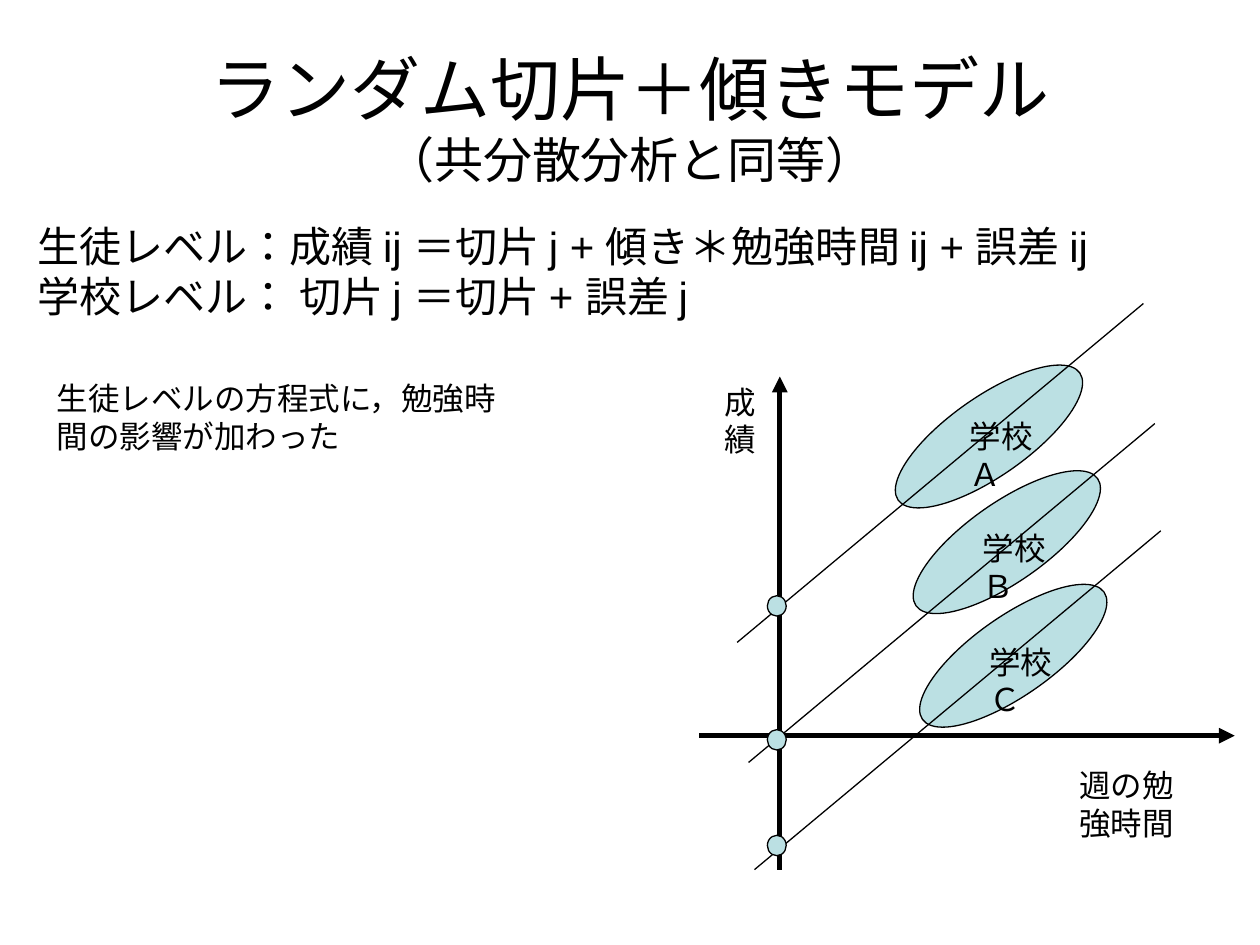
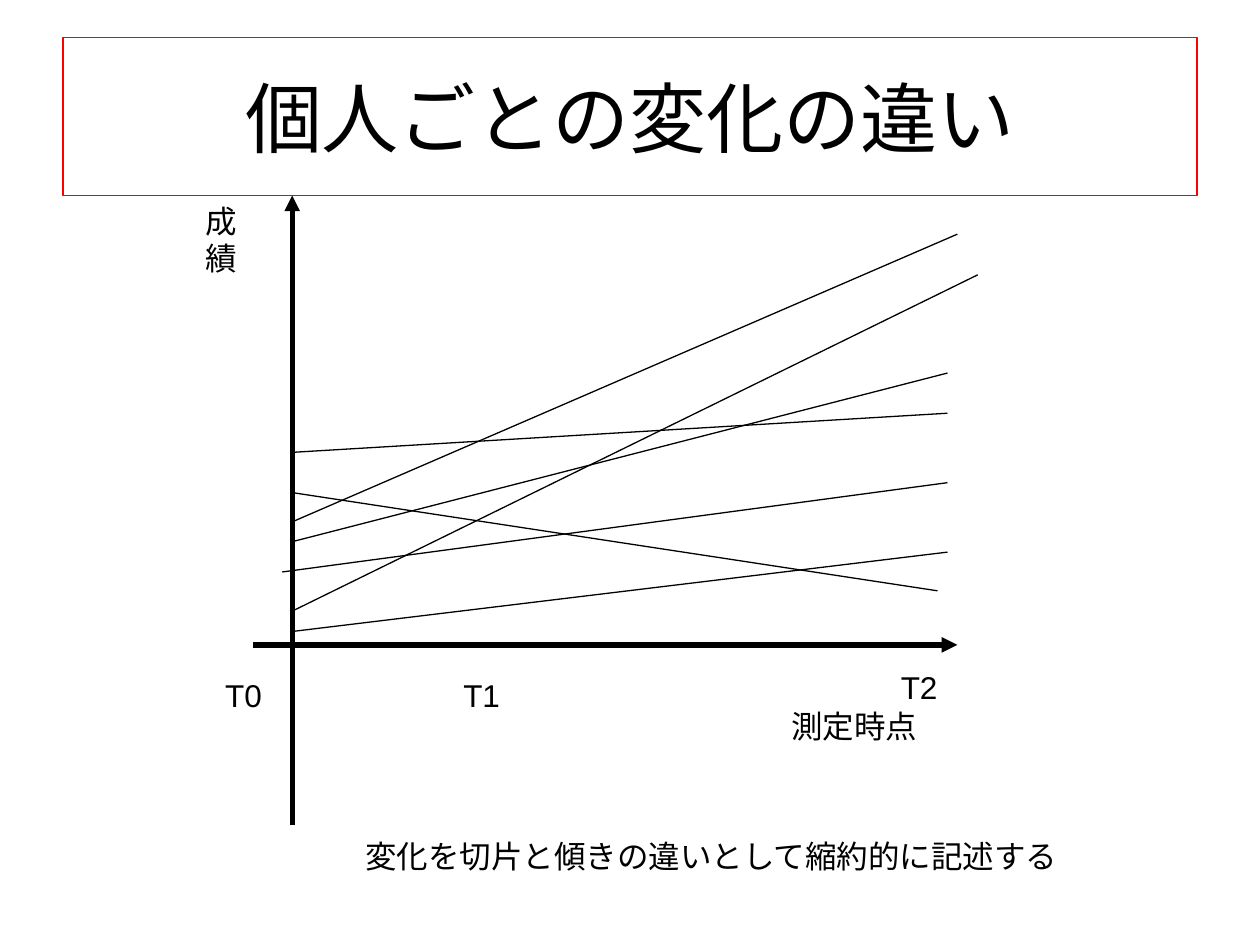
from dataclasses import dataclass

from lxml import etree
from pptx import Presentation
from pptx.dml.color import RGBColor
from pptx.enum.lang import MSO_LANGUAGE_ID
from pptx.enum.shapes import MSO_CONNECTOR, MSO_SHAPE
from pptx.enum.text import MSO_ANCHOR, PP_ALIGN
from pptx.oxml.ns import qn
from pptx.util import Cm, Pt

JAPANESE = MSO_LANGUAGE_ID.JAPANESE
STRAIGHT = MSO_CONNECTOR.STRAIGHT
ELLIPSE = MSO_SHAPE.OVAL
MIDDLE, TOP = MSO_ANCHOR.MIDDLE, MSO_ANCHOR.TOP
CENTER, LEFT = PP_ALIGN.CENTER, PP_ALIGN.LEFT


@dataclass(frozen=True)
class Theme:
    font: str = "Arial"
    ink: RGBColor = RGBColor(0x00, 0x00, 0x00)
    school: RGBColor = RGBColor(0xBB, 0xE0, 0xE3)
    frame: RGBColor = RGBColor(0xFF, 0x00, 0x00)
    title: int = 44
    long_title: int = 40
    subtitle: int = 28
    equation: int = 24
    label: int = 18
    axis: float = 3
    thin: float = 0.75


THEME = Theme()
TITLE_AREA = (1.27, 0.76, 22.86, 3.18)
CLUSTER_SIZE = (4.47, 1.6)
CLUSTER_TILT = 145
SCHOOL_LABEL_SIZE = (1.98, 1.78)
INTERCEPT_X = 15.47
INTERCEPT_SIZE = (0.38, 0.41)
TREND_RUN, TREND_RISE = 8.19, 6.83

# name, cluster corner, label corner, trend start, top of intercept dot
SCHOOLS = [
    ("学校Ａ", (17.7, 8.0), (19.3, 8.28), (14.86, 12.95), 12.01),
    ("学校Ｂ", (18.06, 10.13), (19.56, 10.54), (15.09, 15.37), 14.71),
    ("学校Ｃ", (18.19, 12.42), (19.69, 12.83), (15.21, 17.53), 16.84),
]

ORIGIN_X = 5.89
# start and end of each person's line of change
PERSONS = [
    ((ORIGIN_X, 12.32), (19.71, 5.54)),
    ((ORIGIN_X, 10.92), (19.1, 7.52)),
    ((ORIGIN_X, 9.93), (18.9, 11.91)),
    ((5.69, 11.53), (19.1, 9.73)),
    ((ORIGIN_X, 9.12), (19.1, 8.33)),
    ((ORIGIN_X, 12.73), (19.1, 11.13)),
    ((ORIGIN_X, 10.52), (19.3, 4.72)),
]
TIME_POINTS = [("T0", 4.29, 13.51), ("T1", 9.09, 13.51), ("T2", 17.91, 13.34)]


def lengths(values):
    return [Cm(value) for value in values]


def apply_format(target, values):
    for name, value in values.items():
        setattr(target, name, value)


def add_run(paragraph, wording, size):
    run = paragraph.add_run()
    run.text = wording
    apply_format(run.font, {"name": THEME.font, "size": Pt(size),
                            "language_id": JAPANESE})
    run.font.color.rgb = THEME.ink


def add_text(slide, area, lines, size=THEME.label, anchor=TOP, align=LEFT):
    """Add a wrapped box with one paragraph for each line."""
    box = slide.shapes.add_textbox(*lengths(area))
    frame = box.text_frame
    apply_format(frame, {"word_wrap": True, "vertical_anchor": anchor})
    for index, wording in enumerate(lines):
        paragraph = frame.add_paragraph() if index else frame.paragraphs[0]
        paragraph.alignment = align
        add_run(paragraph, wording, size)
    return box


def add_title(slide, wording, size):
    return add_text(slide, TITLE_AREA, [wording], size, MIDDLE, CENTER)


def add_line(slide, start, end, width=THEME.thin):
    line = slide.shapes.add_connector(STRAIGHT, *lengths(start + end))
    line.line.color.rgb = THEME.ink
    line.line.width = Pt(width)
    etree.SubElement(line._element.spPr, qn("a:effectLst"))
    return line


def add_axis(slide, start, end):
    axis = add_line(slide, start, end, THEME.axis)
    outline = axis.line._get_or_add_ln()
    etree.SubElement(outline, qn("a:tailEnd"), type="triangle")


def add_ellipse(slide, corner, size, tilt=0):
    ellipse = slide.shapes.add_shape(ELLIPSE, *lengths(corner + size))
    ellipse.rotation = tilt
    ellipse.shadow.inherit = False
    ellipse.fill.solid()
    ellipse.fill.fore_color.rgb = THEME.school
    ellipse.line.color.rgb = THEME.ink
    ellipse.line.width = Pt(THEME.thin)


def add_school(slide, name, cluster, label, trend, intercept_top):
    add_ellipse(slide, cluster, CLUSTER_SIZE, CLUSTER_TILT)
    add_text(slide, label + SCHOOL_LABEL_SIZE, [name])
    add_line(slide, trend, (trend[0] + TREND_RUN, trend[1] - TREND_RISE))
    add_ellipse(slide, (INTERCEPT_X, intercept_top), INTERCEPT_SIZE)


def build_school_slide(slide):
    title = add_title(slide, "ランダム切片＋傾きモデル", THEME.long_title)
    heading = title.text_frame.paragraphs[0]
    heading.add_line_break()
    add_run(heading, "（共分散分析と同等）", THEME.subtitle)

    add_axis(slide, (14.1, 14.83), (24.89, 14.83))
    add_axis(slide, (15.72, 17.53), (15.72, 7.59))
    add_text(slide, (21.51, 15.32, 2.97, 1.78), ["週の勉強時間"])
    add_text(slide, (14.35, 7.59, 0.86, 1.78), ["成績"])
    for school in SCHOOLS:
        add_school(slide, *school)

    add_text(slide, (0.51, 4.32, 22.81, 3.3), [
        "生徒レベル：成績 ij ＝切片 j + 傾き＊勉強時間 ij + 誤差 ij",
        "学校レベル： 切片 j ＝切片 + 誤差 j",
    ], THEME.equation)
    add_text(slide, (0.89, 7.52, 9.8, 1.78),
             ["生徒レベルの方程式に，勉強時間の影響が加わった"])


def build_person_slide(slide):
    title = add_title(slide, "個人ごとの変化の違い", THEME.title)
    title.line.color.rgb = THEME.frame
    title.line.width = Pt(THEME.thin)

    add_axis(slide, (ORIGIN_X, 16.64), (ORIGIN_X, 3.94))
    add_axis(slide, (5.11, 13.0), (19.3, 13.0))
    for start, end in PERSONS:
        add_line(slide, start, end)

    add_text(slide, (3.89, 3.94, 1.32, 1.78), ["成績"])
    add_text(slide, (15.7, 14.12, 3.81, 1.02), ["測定時点"])
    for name, left, top in TIME_POINTS:
        add_text(slide, (left, top, 1.8, 1.02), [name])
    add_text(slide, (7.11, 16.74, 14.6, 1.02),
             ["変化を切片と傾きの違いとして縮約的に記述する"])


def main():
    deck = Presentation()
    apply_format(deck, {"slide_width": Cm(25.4), "slide_height": Cm(19.05)})
    blank = deck.slide_layouts[6]
    for build in (build_school_slide, build_person_slide):
        build(deck.slides.add_slide(blank))
    deck.save("out.pptx")


if __name__ == "__main__":
    main()
